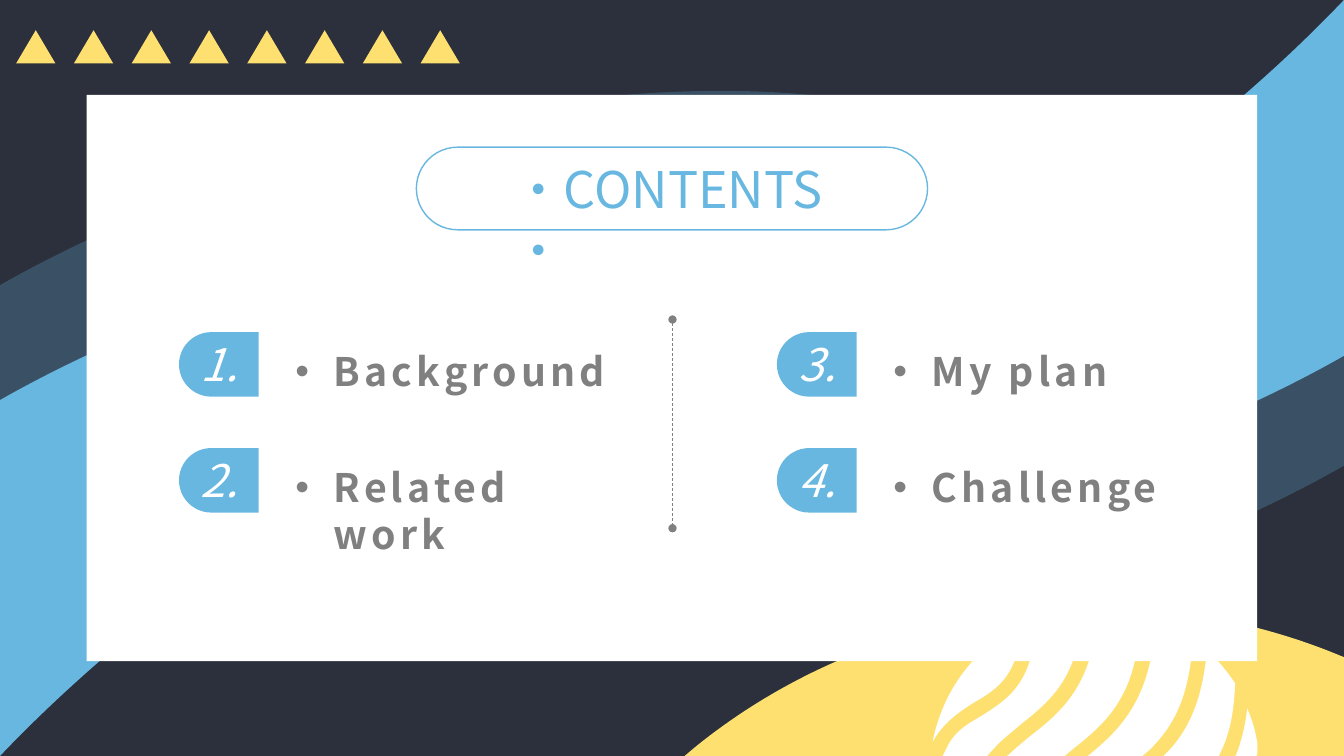
from lxml import etree
from pptx import Presentation
from pptx.dml.color import RGBColor
from pptx.enum import dml, shapes, text
from pptx.oxml import ns
from pptx.util import Inches, Pt

NAVY = RGBColor(0x2B, 0x30, 0x3C)
BLUE = RGBColor(0x68, 0xB7, 0xE1)
YELLOW = RGBColor(0xFE, 0xE0, 0x71)
GRAY = RGBColor(0x80, 0x80, 0x80)
WHITE = RGBColor(0xFF, 0xFF, 0xFF)
FONT = "Noto Sans CJK SC"
WIDTH, HEIGHT = 13.33, 7.5
UNITS_PER_INCH = 100

BAND = [(0, 3.97), (2.56, 2.51, 7.04, 1.37, 9.87, 2.5),
        (6.26, 2.94, 2.42, 4.96, 0, 7.5)]
HILL = [(13.33, 7.5), (6.79, 7.5), (6.91, 7.4),
        (7.98, 6.54, 9.36, 6.03, 10.86, 6.03),
        (11.72, 6.03, 12.53, 6.19, 13.28, 6.5), (13.33, 6.52)]
STRIPES = [
    [(9.25, 7.36), (9.35, 6.85, 9.67, 6.42, 10.13, 6.2),
     (10.1, 6.7, 9.9, 6.83, 9.66, 6.97), (9.52, 7.06, 9.36, 7.16, 9.25, 7.36)],
    [(9.79, 7.5), (9.35, 7.5), (9.41, 7.38), (9.49, 7.24, 9.62, 7.17, 9.74, 7.1),
     (9.99, 6.94, 10.27, 6.77, 10.27, 6.13), (10.42, 6.08, 10.58, 6.04, 10.74, 6.03),
     (10.7, 6.73, 10.42, 6.95, 10.12, 7.19), (10.04, 7.26, 9.96, 7.32, 9.89, 7.39)],
    [(10.56, 7.5), (9.99, 7.5), (10.09, 7.41), (10.13, 7.38, 10.17, 7.34, 10.21, 7.31),
     (10.53, 7.06, 10.85, 6.8, 10.89, 6.03), (11.04, 6.03, 11.18, 6.05, 11.31, 6.09),
     (11.29, 6.91, 10.97, 7.17, 10.63, 7.44)],
    [(11.33, 7.5), (10.79, 7.5), (10.85, 7.45), (11.15, 7.2, 11.43, 6.88, 11.46, 6.14),
     (11.59, 6.19, 11.71, 6.26, 11.83, 6.34), (11.8, 6.94, 11.62, 7.23, 11.39, 7.45)],
    [(12.09, 7.5), (11.54, 7.5), (11.6, 7.44), (11.79, 7.23, 11.93, 6.94, 11.97, 6.45),
     (12.08, 6.55, 12.17, 6.66, 12.25, 6.78), (12.24, 7.05, 12.2, 7.25, 12.13, 7.41)],
    [(12.46, 7.5), (12.25, 7.5), (12.26, 7.49), (12.31, 7.36, 12.35, 7.21, 12.37, 7.03),
     (12.42, 7.14, 12.45, 7.25, 12.47, 7.37), (12.47, 7.41, 12.47, 7.45, 12.47, 7.48)],
]


def place(shape, left, top, width, height):
    shape.left, shape.top = Inches(left), Inches(top)
    shape.width, shape.height = Inches(width), Inches(height)


def paint(shape, fill, line=None, alpha=None):
    shape.shadow.inherit = False
    shape.fill.solid()
    shape.fill.fore_color.rgb = fill
    if line is None:
        shape.line.fill.background()
    else:
        shape.line.color.rgb = line
        shape.line.width = Pt(1)
    if alpha is not None:
        color = shape.element.spPr.find(ns.qn("a:solidFill"))[0]
        etree.SubElement(color, ns.qn("a:alpha"), val=str(alpha * 1000))
    return shape


def add_block(slide, kind, left, top, width, height, fill, line=None):
    shape = slide.shapes.add_shape(
        kind, Inches(left), Inches(top), Inches(width), Inches(height))
    return paint(shape, fill, line)


def to_points(segment):
    units = [round(value * UNITS_PER_INCH) for value in segment]
    return list(zip(units[::2], units[1::2]))


def add_outline(slide, contours, fill, alpha=None):
    outlines = [[to_points(segment) for segment in contour] for contour in contours]
    anchors = [[points[-1] for points in outline] for outline in outlines]
    builder = slide.shapes.build_freeform(
        *anchors[0][0], scale=Inches(1) / UNITS_PER_INCH)
    for index, corners in enumerate(anchors):
        if index:
            builder.move_to(*corners[0])
        builder.add_line_segments(corners[1:], close=True)
    shape = builder.convert_to_shape()

    left = min(x for corners in anchors for x, y in corners)
    top = min(y for corners in anchors for x, y in corners)
    segments = [points for outline in outlines for points in outline[1:]]
    lines = list(shape.element.iter(ns.qn("a:lnTo")))
    for line, points in zip(lines, segments):
        if len(points) == 3:
            curve = etree.Element(ns.qn("a:cubicBezTo"))
            for x, y in points:
                etree.SubElement(curve, ns.qn("a:pt"), x=str(x - left), y=str(y - top))
            line.getparent().replace(line, curve)
    return paint(shape, fill, alpha=alpha)


def shift_down(contour, distance):
    return [tuple(value + distance * (index % 2) for index, value in enumerate(segment))
            for segment in contour]


def turn_around(contour):
    return [tuple((HEIGHT if index % 2 else WIDTH) - value
                  for index, value in enumerate(segment)) for segment in contour]


def write(paragraph, wording, size, color, bold=False, italic=False, spacing=None,
          align=None, before=0):
    paragraph.alignment = align
    paragraph.space_before = Pt(before)
    run = paragraph.add_run()
    run.text = wording
    font = run.font
    font.name, font.size, font.bold, font.italic = FONT, Pt(size), bold, italic
    font.color.rgb = color
    properties = run._r.get_or_add_rPr()
    etree.SubElement(properties, ns.qn("a:ea"), typeface=FONT)
    if spacing is not None:
        properties.set("spc", str(spacing * 100))


def draw_backdrop(slide):
    slide.background.fill.solid()
    slide.background.fill.fore_color.rgb = NAVY
    right_band = turn_around(BAND)
    for band, shift, alpha in ((right_band, 1.09, 25), (BAND, -1.14, 25),
                               (right_band, 0, None), (BAND, 0, None)):
        add_outline(slide, [shift_down(band, shift)], BLUE, alpha)
    add_outline(slide, [HILL], YELLOW)
    add_outline(slide, STRIPES, WHITE)
    add_block(slide, shapes.MSO_SHAPE.RECTANGLE, 0.86, 0.94, 11.61, 5.62, WHITE)


def draw_triangles(slide, left, top, count=8, pitch=0.573):
    for index in range(count):
        add_block(slide, shapes.MSO_SHAPE.ISOSCELES_TRIANGLE,
                  left + index * pitch, top, 0.39, 0.33, YELLOW)


def draw_title(slide, left, top, width, height):
    pill = add_block(slide, shapes.MSO_SHAPE.ROUNDED_RECTANGLE,
                     left, top, width, height, WHITE, BLUE)
    pill.adjustments[0] = 0.5
    title = slide.shapes.title
    place(title, left + 0.86, top + 0.06, 3.34, 0.71)
    frame = title.text_frame
    frame.word_wrap = True
    frame.auto_size = text.MSO_AUTO_SIZE.NONE
    frame.vertical_anchor = text.MSO_ANCHOR.TOP
    write(frame.paragraphs[0], "·CONTENTS·", 36, BLUE, align=text.PP_ALIGN.JUSTIFY)
    slide.shapes.element.append(title.element)


def draw_column(slide, body, left, top, width, first_number, topics, pitch=1.15):
    for index in range(len(topics)):
        row = top + index * pitch
        tag = add_block(slide, shapes.MSO_SHAPE.ROUND_2_SAME_RECTANGLE,
                        left + 0.24, row - 0.07, 0.64, 0.79, BLUE)
        tag.rotation = 270
        tag.adjustments[0], tag.adjustments[1] = 0.5, 0
        label = slide.shapes.add_textbox(
            Inches(left), Inches(row), Inches(1.13), Inches(0.64))
        label.text_frame.word_wrap = True
        write(label.text_frame.paragraphs[0], f"{first_number + index}.", 32, WHITE,
              italic=True, align=text.PP_ALIGN.CENTER)

    place(body, left + 1.22, top + 0.11, width, 1.8)
    frame = body.text_frame
    frame.auto_size = text.MSO_AUTO_SIZE.NONE
    for index, topic in enumerate(topics):
        paragraph = frame.add_paragraph() if index else frame.paragraphs[0]
        write(paragraph, topic, 28, GRAY, bold=True, spacing=3, before=49 * index)
        properties = paragraph._p.get_or_add_pPr()
        properties.set("marL", str(Inches(0.38)))
        properties.set("indent", str(-Inches(0.38)))
    slide.shapes.element.append(body.element)


def draw_divider(slide, x, top, bottom):
    divider = slide.shapes.add_connector(
        shapes.MSO_CONNECTOR.STRAIGHT, Inches(x), Inches(top), Inches(x), Inches(bottom))
    divider.line.color.rgb = GRAY
    divider.line.width = Pt(0.5)
    divider.line.dash_style = dml.MSO_LINE.DASH
    outline = divider.line._get_or_add_ln()
    for end in ("a:headEnd", "a:tailEnd"):
        etree.SubElement(outline, ns.qn(end), type="oval")
    etree.SubElement(divider.element.spPr, ns.qn("a:effectLst"))


def build_contents_slide(presentation):
    slide = presentation.slides.add_slide(presentation.slide_layouts[3])
    left_body, right_body = slide.placeholders[1], slide.placeholders[2]
    draw_backdrop(slide)
    draw_triangles(slide, 0.16, 0.3)
    draw_column(slide, left_body, 1.61, 3.29, 3.37, 1, ["Background", "Related work"])
    draw_column(slide, right_body, 7.54, 3.29, 3.19, 3, ["My plan", "Challenge"])
    draw_divider(slide, 6.67, 3.17, 5.24)
    draw_title(slide, 4.13, 1.46, 5.07, 0.82)


def main():
    presentation = Presentation()
    presentation.slide_width, presentation.slide_height = Inches(WIDTH), Inches(HEIGHT)
    build_contents_slide(presentation)
    presentation.save("out.pptx")


if __name__ == "__main__":
    main()
